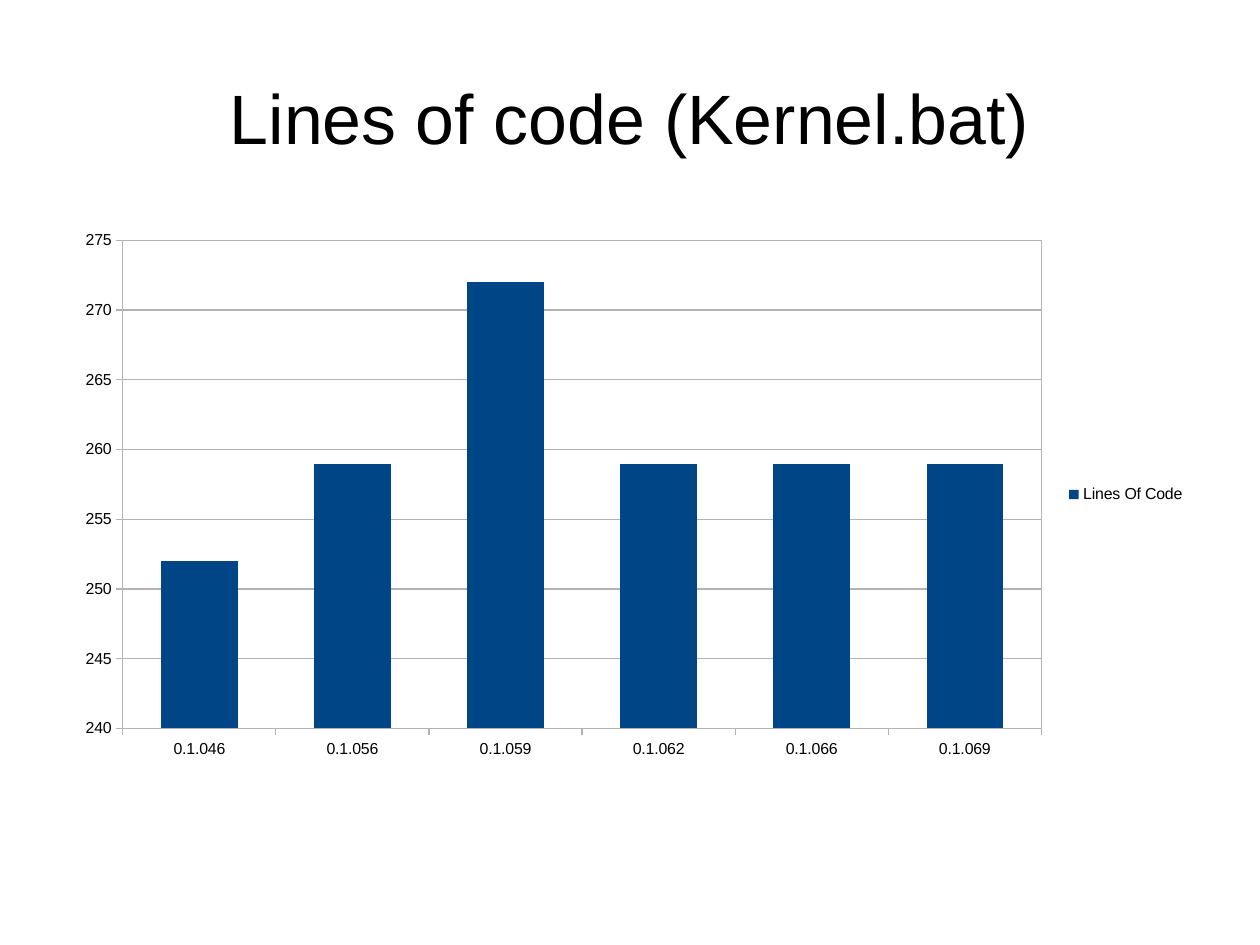
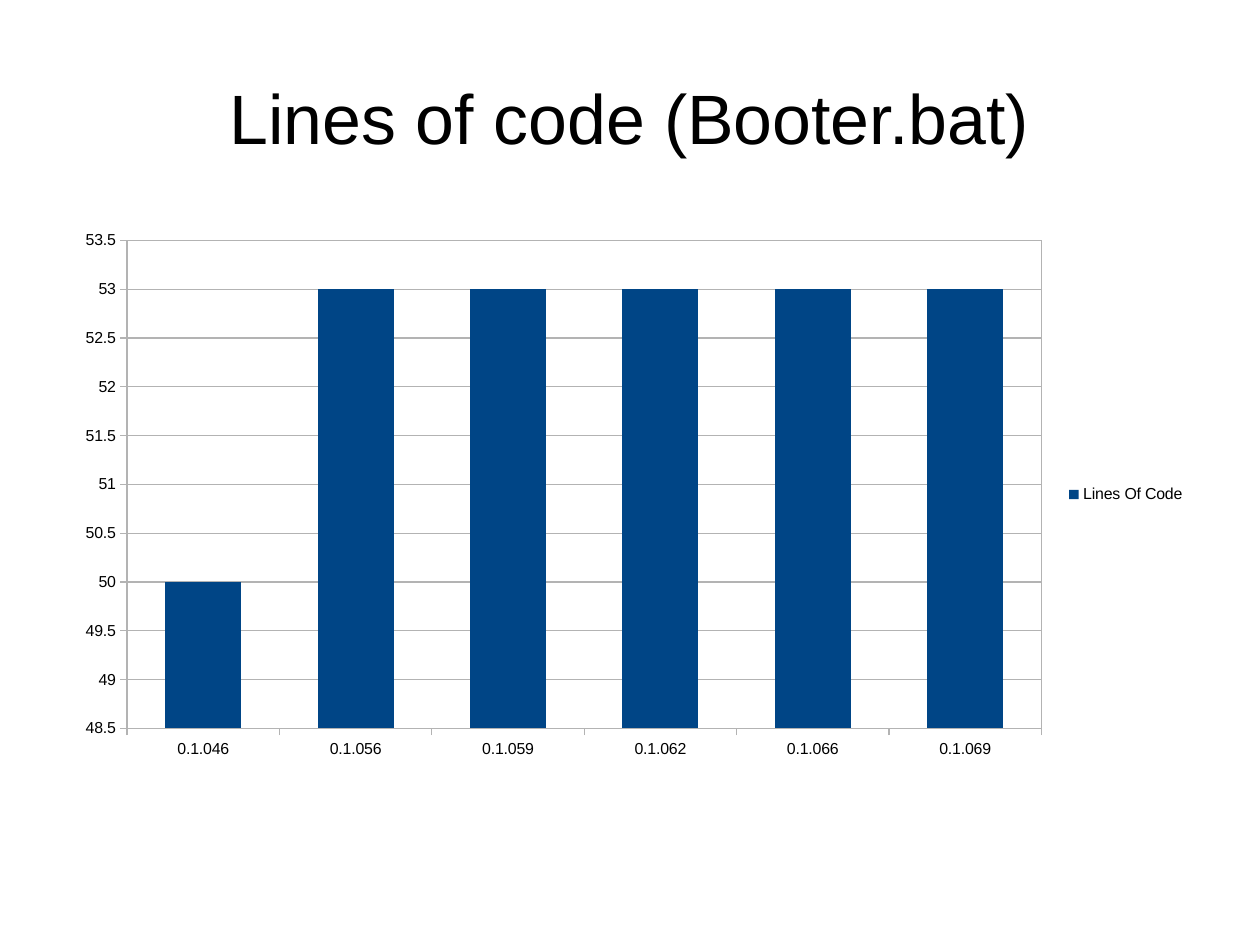
from dataclasses import dataclass

from lxml import etree
from pptx import Presentation
from pptx import util as u
from pptx.chart.data import CategoryChartData
from pptx.dml.color import RGBColor
from pptx.enum import chart as charts, text
from pptx.oxml import ns

COLOURS = {"text": "000000", "bar": "004586", "grid": "B3B3B3", "page": "FFFFFF"}
FONT = "Arial"
SLIDE_WIDTH, SLIDE_HEIGHT = u.Cm(28), u.Cm(21)
VERSIONS = ["0.1.046", "0.1.056", "0.1.059", "0.1.062", "0.1.066", "0.1.069"]


@dataclass(frozen=True)
class Band:
    """Horizontal band of the slide, as shares of its height."""
    top: float
    height: float

    def box(self) -> tuple[int, int, int, int]:
        margin, width = 0.05, 0.9
        return (round(SLIDE_WIDTH * margin), round(SLIDE_HEIGHT * self.top),
                round(SLIDE_WIDTH * width), round(SLIDE_HEIGHT * self.height))


@dataclass(frozen=True)
class CodeCount:
    """Lines of code of one file, with the scale of its value axis."""
    file_name: str
    lines: list[int]
    minimum: float
    maximum: float
    step: float


TITLE_BAND = Band(0.04, 1 / 6)
CHART_BAND = Band(7 / 30, 0.58)

COUNTS = [
    CodeCount("Kernel.bat", [252, 259, 272, 259, 259, 259], 240, 275, 5),
    CodeCount("Booter.bat", [50, 53, 53, 53, 53, 53], 48.5, 53.5, 0.5),
]


def colour(name: str) -> RGBColor:
    return RGBColor.from_string(COLOURS[name])


def style_font(font, size: float) -> None:
    font.name = FONT
    font.size = u.Pt(size)
    font.bold = False
    font.color.rgb = colour("text")


def style_line(line) -> None:
    line.color.rgb = colour("grid")
    line.width = 0


def add_title(slide, title: str) -> None:
    frame = slide.shapes.add_textbox(*TITLE_BAND.box()).text_frame
    frame.word_wrap = True
    frame.vertical_anchor = text.MSO_ANCHOR.MIDDLE
    frame.margin_left = frame.margin_right = frame.margin_top = frame.margin_bottom = 0
    frame.text = title
    paragraph = frame.paragraphs[0]
    paragraph.alignment = text.PP_ALIGN.CENTER
    style_font(paragraph.runs[0].font, 44)


def outline_plot_area(chart) -> None:
    """Frame the plot with the grid colour."""
    plot_area = chart.element.find(".//" + ns.qn("c:plotArea"))
    properties = etree.SubElement(plot_area, ns.qn("c:spPr"))
    etree.SubElement(properties, ns.qn("a:noFill"))
    line = etree.SubElement(properties, ns.qn("a:ln"), w="0")
    fill = etree.SubElement(line, ns.qn("a:solidFill"))
    etree.SubElement(fill, ns.qn("a:srgbClr"), val=COLOURS["grid"])


def add_code_chart(slide, count: CodeCount) -> None:
    data = CategoryChartData()
    data.categories = VERSIONS
    data.add_series("Lines Of Code", count.lines)
    chart = slide.shapes.add_chart(
        charts.XL_CHART_TYPE.COLUMN_CLUSTERED, *CHART_BAND.box(), data).chart
    chart.has_title = False
    style_font(chart.font, 10)

    # Columns
    plot = chart.plots[0]
    plot.vary_by_categories = False
    plot.gap_width = 100
    bars = plot.series[0].format.fill
    bars.solid()
    bars.fore_color.rgb = colour("bar")

    # Axes and grid
    for axis in (chart.category_axis, chart.value_axis):
        axis.major_tick_mark = charts.XL_TICK_MARK.OUTSIDE
        axis.minor_tick_mark = charts.XL_TICK_MARK.NONE
        style_font(axis.tick_labels.font, 10)
        style_line(axis.format.line)
    values = chart.value_axis
    values.minimum_scale = count.minimum
    values.maximum_scale = count.maximum
    values.major_unit = count.step
    values.has_major_gridlines = True
    style_line(values.major_gridlines.format.line)
    outline_plot_area(chart)

    # Legend
    chart.has_legend = True
    chart.legend.position = charts.XL_LEGEND_POSITION.RIGHT
    chart.legend.include_in_layout = False
    style_font(chart.legend.font, 10)


def main() -> None:
    presentation = Presentation()
    presentation.slide_width = SLIDE_WIDTH
    presentation.slide_height = SLIDE_HEIGHT
    blank = presentation.slide_layouts[6]
    for count in COUNTS:
        slide = presentation.slides.add_slide(blank)
        slide.background.fill.solid()
        slide.background.fill.fore_color.rgb = colour("page")
        add_title(slide, f"Lines of code ({count.file_name})")
        add_code_chart(slide, count)
    presentation.save("out.pptx")


if __name__ == "__main__":
    main()
